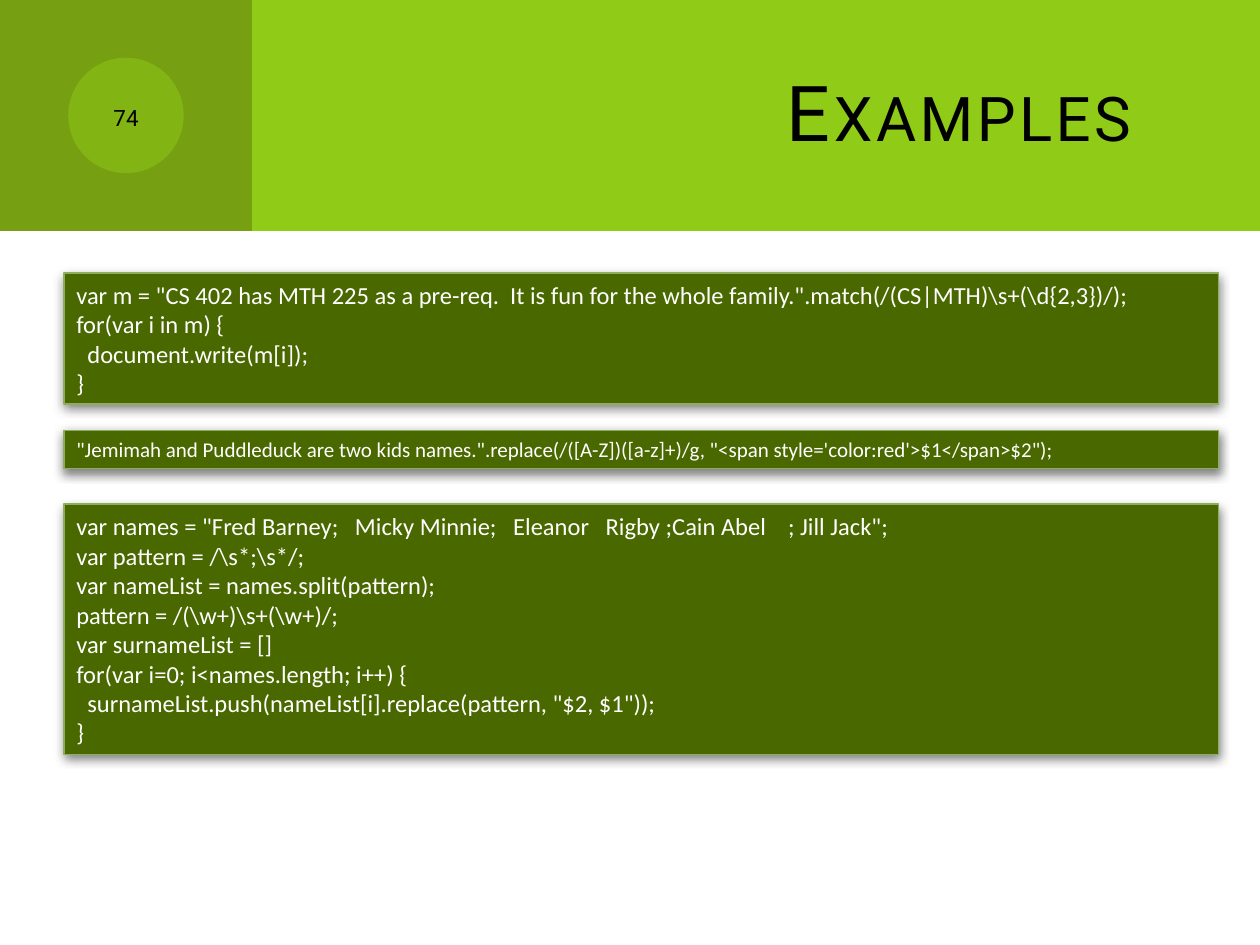
from lxml import etree
from pptx import Presentation
from pptx.dml.color import RGBColor
from pptx.enum.shapes import MSO_SHAPE
from pptx.enum.text import MSO_ANCHOR, MSO_AUTO_SIZE, PP_ALIGN
from pptx.oxml.ns import qn
from pptx.util import Pt

RECT, OVAL = MSO_SHAPE.RECTANGLE, MSO_SHAPE.OVAL
LEFT, CENTER, RIGHT = PP_ALIGN.LEFT, PP_ALIGN.CENTER, PP_ALIGN.RIGHT
MIDDLE = MSO_ANCHOR.MIDDLE
FIT_SHAPE, NO_FIT = MSO_AUTO_SIZE.SHAPE_TO_FIT_TEXT, MSO_AUTO_SIZE.NONE

CODE_BLOCKS = [
    (156, 75, 14, [
        r'var m = "CS 402 has MTH 225 as a pre-req.  It is fun for the whole family.".match(/(CS|MTH)\s+(\d{2,3})/);',
        "for(var i in m) {",
        "  document.write(m[i]);",
        "}",
    ]),
    (246, 21.8, 12, [
        '"Jemimah and Puddleduck are two kids names.".replace(/([A-Z])([a-z]+)/g, '
        "\"<span style='color:red'>$1</span>$2\");",
    ]),
    (288, 143, 14, [
        'var names = "Fred Barney;   Micky Minnie;   Eleanor   Rigby ;Cain Abel    ; Jill Jack";',
        r"var pattern = /\s*;\s*/;",
        "var nameList = names.split(pattern);",
        r"pattern = /(\w+)\s+(\w+)/;",
        "var surnameList = []",
        "for(var i=0; i<names.length; i++) {",
        '  surnameList.push(nameList[i].replace(pattern, "$2, $1"));',
        "}",
    ]),
]


def rgb(value):
    """Turn a hex string into a colour."""
    return RGBColor.from_string(value)


def add_child(parent, tag, **attrs):
    """Append an XML child with the given attributes."""
    return etree.SubElement(parent, qn(tag), {k: str(v) for k, v in attrs.items()})


def add_panel(s, kind, box, fill):
    """Add a plain filled shape without line or shadow."""
    sp = s.shapes.add_shape(kind, *map(Pt, box))
    sp.shadow.inherit = False
    sp.fill.solid()
    sp.fill.fore_color.rgb = rgb(fill)
    sp.line.fill.background()
    return sp


def write_lines(tf, lines, size, font, color, align):
    """Write one formatted paragraph per line and return the runs."""
    runs = []
    for i, line in enumerate(lines):
        p = tf.add_paragraph() if i else tf.paragraphs[0]
        p.alignment = align
        r = p.add_run()
        r.text = line
        for name, value in {"size": Pt(size), "name": font}.items():
            setattr(r.font, name, value)
        r.font.color.rgb = rgb(color)
        runs.append(r)
    return runs


def add_header(s, box, title, number):
    """Place the band, the number badge and the title in the box."""
    x, y, w, h = box
    side, badge = w / 5, 66
    add_panel(s, RECT, box, "8FCB17")
    add_panel(s, RECT, (x, y, side, h), "769F11")
    circle = (x + (side - badge) / 2, y + (h - badge) / 2, badge, badge)
    disc = add_panel(s, OVAL, circle, "8FCB17")
    color = disc.fill._xPr.find(qn("a:solidFill"))[0]
    add_child(color, "a:alpha", val=50000)

    label = s.shapes.add_textbox(Pt(x + 42), Pt(y + 42), Pt(60), Pt(48))
    heading = s.shapes.title
    heading.element.getparent().append(heading.element)
    places = {"left": x + side + 48, "top": y + 18, "width": 492, "height": 90}
    for name, value in places.items():
        setattr(heading, name, Pt(value))
    heading.text_frame.margin_right = Pt(21.6)

    for sp, text, size, align, spacing in (
        (label, number, 16, CENTER, 0),
        (heading, title, 44, RIGHT, 200),
    ):
        tf = sp.text_frame
        for name, value in {"word_wrap": True, "auto_size": NO_FIT, "vertical_anchor": MIDDLE}.items():
            setattr(tf, name, value)
        r = write_lines(tf, [text], size, "Roboto", "000000", align)[0]
        r.font._element.set("cap", "small")
        r.font._element.set("spc", str(spacing))


def add_code(s, box, size, lines):
    """Place a shadowed code block in the box."""
    sp = add_panel(s, RECT, box, "4A6800")
    sp.line.color.rgb = rgb("8DAE5C")
    sp.line.width = Pt(0.75)
    effects = sp.element.spPr.find(qn("a:effectLst"))
    shadow = add_child(effects, "a:outerShdw", blurRad=Pt(6), dist=Pt(2), dir=5400000, rotWithShape=0)
    add_child(add_child(shadow, "a:srgbClr", val="000000"), "a:alpha", val=50000)
    tf = sp.text_frame
    for name, value in {"word_wrap": True, "auto_size": FIT_SHAPE, "vertical_anchor": MIDDLE}.items():
        setattr(tf, name, value)
    write_lines(tf, lines, size, "Calibri", "FFFFFF", LEFT)


def main():
    """Build and save the slide."""
    prs = Presentation()
    prs.slide_width, prs.slide_height = Pt(720), Pt(540)
    s = prs.slides.add_slide(prs.slide_layouts[5])
    add_header(s, (0, 0, 720, 132), "Examples", "74")
    for top, height, size, lines in CODE_BLOCKS:
        add_code(s, (36.5, top, 660, height), size, lines)
    prs.save("out.pptx")


if __name__ == "__main__":
    main()
